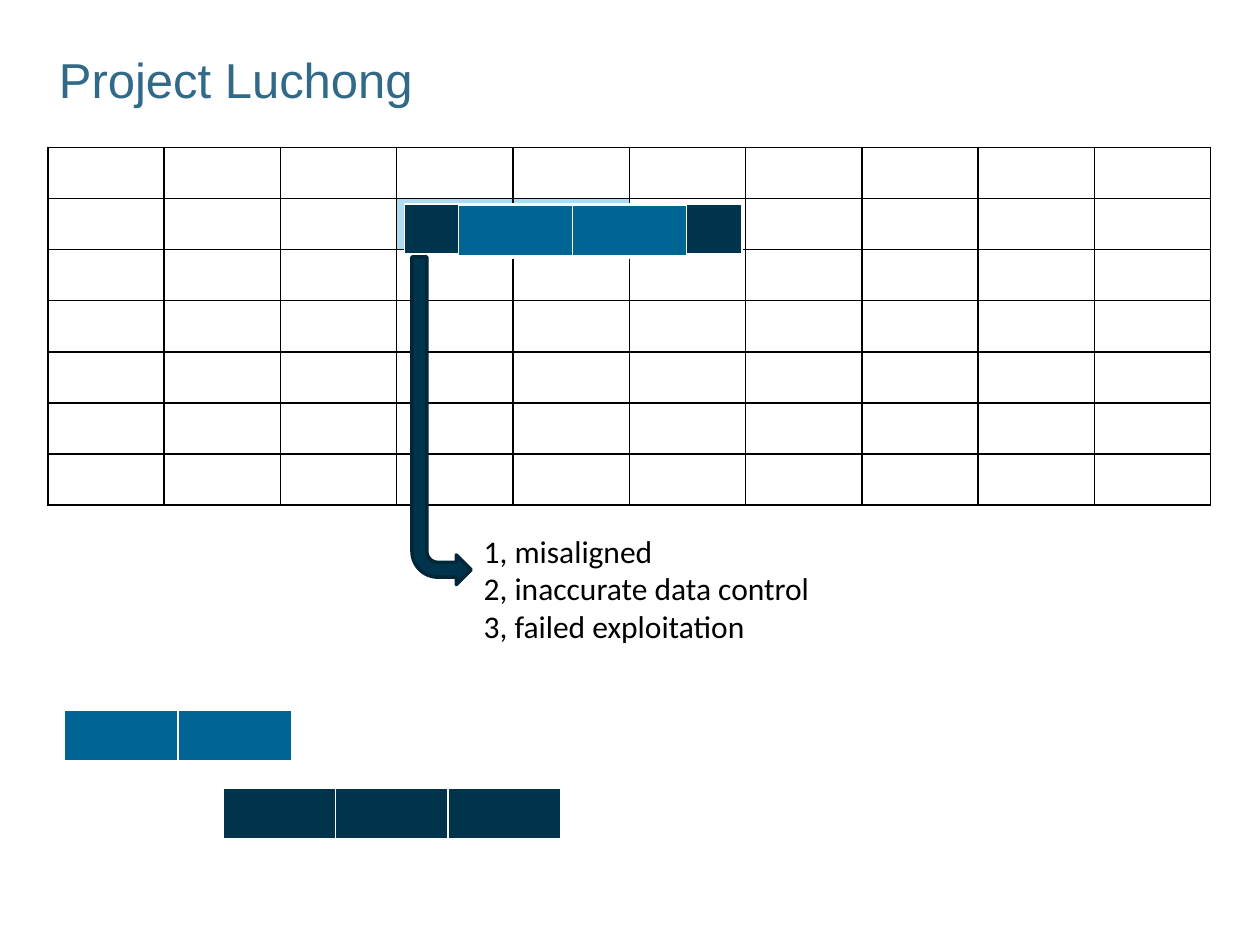
from dataclasses import dataclass

from lxml.etree import SubElement
from pptx import Presentation
from pptx.dml.color import RGBColor
from pptx.enum.shapes import MSO_SHAPE as Shape
from pptx.enum.text import MSO_ANCHOR as Anchor
from pptx.oxml.ns import qn
from pptx.util import Inches, Pt


@dataclass(frozen=True)
class Theme:
    title: str = "316989"
    text: str = "000000"
    grid: str = "000000"
    gap: str = "FFFFFF"
    highlight: str = "B0DCF1"
    dark: str = "00344C"
    blue: str = "006595"
    arrow_edge: str = "002638"
    title_font: str = "Arial"
    body_font: str = "Calibri"
    title_size: int = 28
    body_size: int = 18


THEME = Theme()
GRID_BORDERS = {side: (THEME.grid, 1) for side in "LRTB"}
BLOCK_BORDERS = {side: (THEME.gap, 3 if side == "B" else 1) for side in "LRTB"}


def set_borders(cell, borders):
    properties = cell._tc.get_or_add_tcPr()
    for side, (color, width) in borders.items():
        line = SubElement(properties, qn(f"a:ln{side}"), w=str(Pt(width)))
        fill = SubElement(line, qn("a:solidFill"))
        SubElement(fill, qn("a:srgbClr"), val=color)


def add_cells(slide, box, rows, cols, borders, fill_for):
    """Table of equal cells; fill_for(row, col) gives a colour or None."""
    table = slide.shapes.add_table(rows, cols, *map(Inches, box)).table
    table.first_row = table.horz_banding = False
    for column in table.columns:
        column.width = Inches(box[2] / cols)
    for row in table.rows:
        row.height = Inches(box[3] / rows)
    for r in range(rows):
        for c in range(cols):
            cell = table.cell(r, c)
            set_borders(cell, borders)
            color = fill_for(r, c)
            if color:
                cell.fill.solid()
                cell.fill.fore_color.rgb = RGBColor.from_string(color)
            else:
                cell.fill.background()


def add_text(slide, box, text, font, size, color, anchor=Anchor.TOP):
    frame = slide.shapes.add_textbox(*map(Inches, box)).text_frame
    frame.word_wrap = True
    frame.vertical_anchor = anchor
    frame.text = text
    for paragraph in frame.paragraphs:
        for run in paragraph.runs:
            run.font.name = font
            run.font.size = Pt(size)
            run.font.color.rgb = RGBColor.from_string(color)


def add_title(slide, box):
    add_text(slide, box, "Project Luchong", THEME.title_font,
             THEME.title_size, THEME.title, Anchor.MIDDLE)


def add_memory_grid(slide, box):
    target = {(1, 3), (1, 4)}
    add_cells(slide, box, 7, 10, GRID_BORDERS,
              lambda r, c: THEME.highlight if (r, c) in target else None)


def add_blocks(slide, box, count, color):
    add_cells(slide, box, 1, count, BLOCK_BORDERS, lambda r, c: color)


def add_problems(slide, box):
    left, top, width, height = box
    arrow_width, arrow_height = 0.47, 2.6

    # Arrow leading down from the misaligned blocks
    arrow = slide.shapes.add_shape(
        Shape.BENT_ARROW, *map(Inches, (left, top, arrow_width, arrow_height)))
    arrow.shadow.inherit = False
    arrow._element.spPr.find(qn("a:xfrm")).set("flipV", "1")
    arrow.fill.solid()
    arrow.fill.fore_color.rgb = RGBColor.from_string(THEME.dark)
    arrow.line.color.rgb = RGBColor.from_string(THEME.arrow_edge)
    arrow.line.width = Pt(2)

    # List of problems at the arrow's tip
    list_height = 1.01
    add_text(slide, (left + arrow_width, top + height - list_height,
                     width - arrow_width, list_height),
             "1, misaligned\n2, inaccurate data control\n3, failed exploitation",
             THEME.body_font, THEME.body_size, THEME.text)


def main():
    deck = Presentation()
    deck.slide_width, deck.slide_height = Inches(10), Inches(7.5)
    slide = deck.slides.add_slide(deck.slide_layouts[6])

    add_title(slide, (0.37, 0.3, 9.23, 0.66))
    add_memory_grid(slide, (0.38, 1.17, 9.23, 2.84))

    # Separate blocks below, then the same blocks overlapping in the grid
    dark_size, blue_size = (2.68, 0.41), (1.81, 0.41)
    for dark_at, blue_at in (((1.77, 6.26), (0.51, 5.64)),
                             ((3.21, 1.62), (3.64, 1.63))):
        add_blocks(slide, dark_at + dark_size, 3, THEME.dark)
        add_blocks(slide, blue_at + blue_size, 2, THEME.blue)

    add_problems(slide, (3.27, 2.04, 4.88, 3.14))
    deck.save("out.pptx")


if __name__ == "__main__":
    main()
